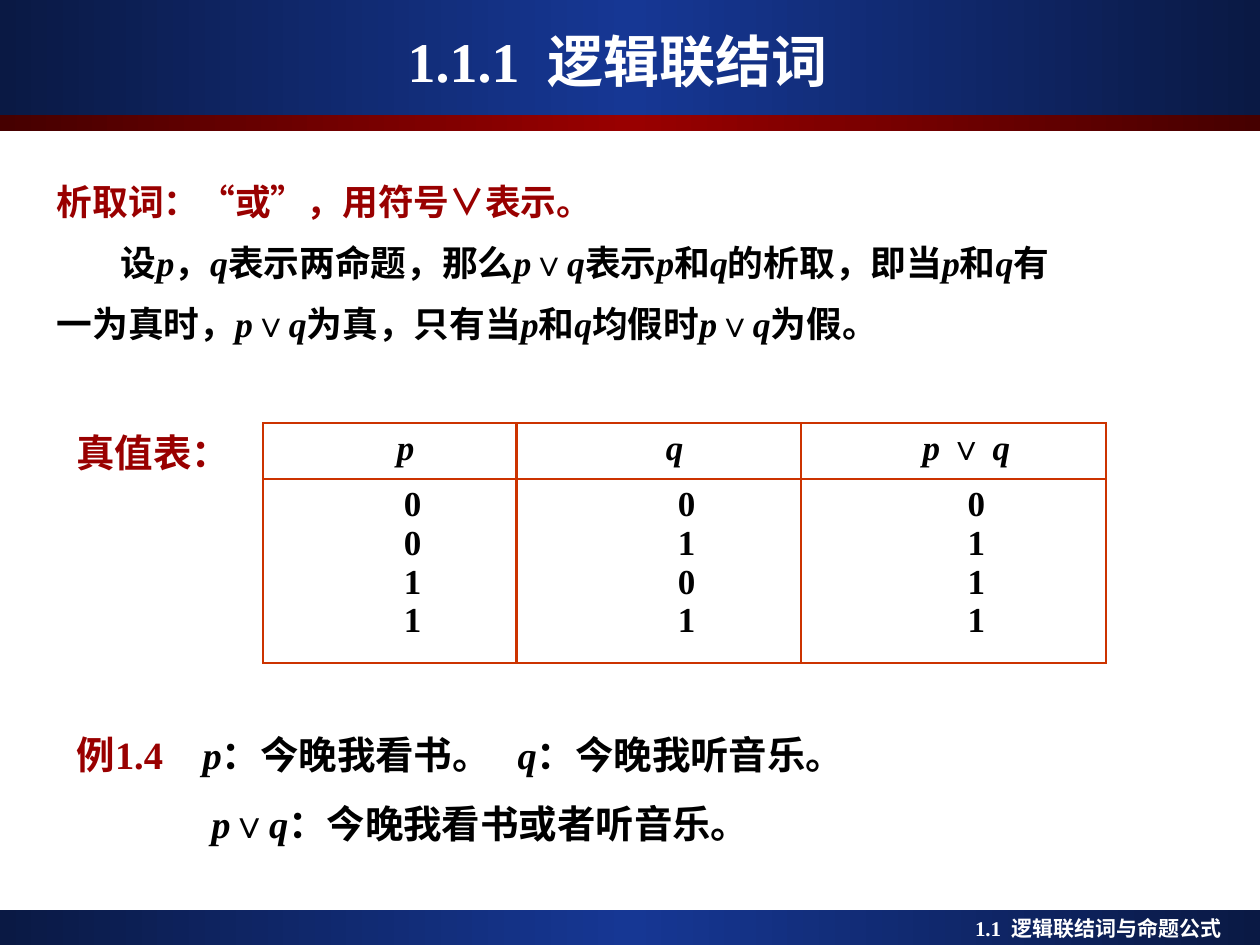
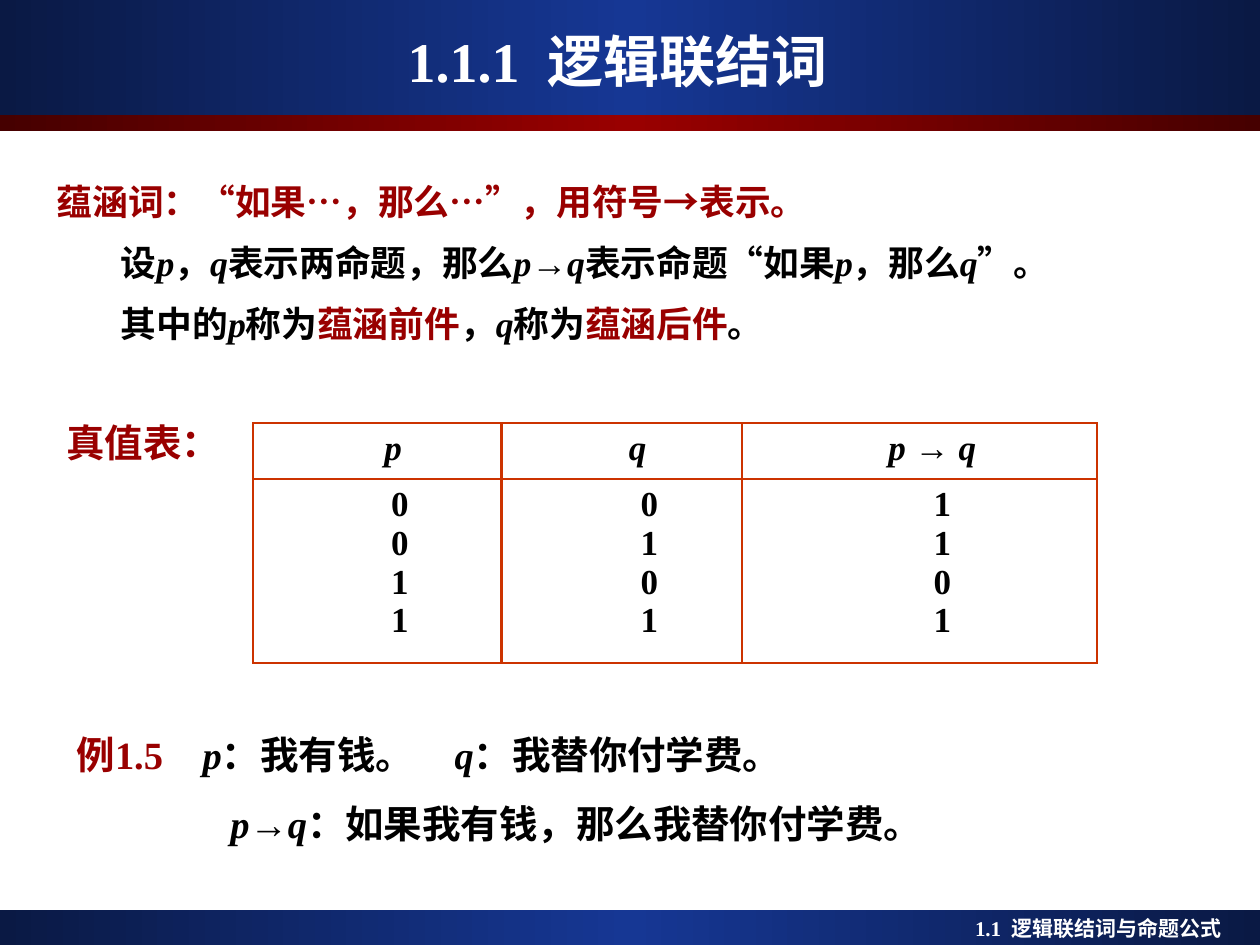
from copy import deepcopy
from dataclasses import dataclass
from itertools import product
from typing import Callable

from lxml import etree
from pptx import Presentation
from pptx.dml.color import RGBColor
from pptx.enum.shapes import MSO_SHAPE
from pptx.enum.text import MSO_ANCHOR, MSO_AUTO_SIZE, PP_ALIGN
from pptx.oxml.ns import qn
from pptx.util import Emu, Inches, Pt

RECTANGLE = MSO_SHAPE.RECTANGLE
MIDDLE = MSO_ANCHOR.MIDDLE
FIXED_SIZE = MSO_AUTO_SIZE.NONE
LEFT, CENTER = PP_ALIGN.LEFT, PP_ALIGN.CENTER

FONT = "Times New Roman"
COLORS = {
    "white": "FFFFFF", "black": "000000", "red": "990000", "dark red": "460000",
    "blue": "163794", "navy": "0A1944", "border": "CC3300",
}
SLIDE_WIDTH, SLIDE_HEIGHT = Inches(10), Inches(7.5)
COLUMN, ROW = SLIDE_WIDTH / 100, SLIDE_HEIGHT / 75
BORDER_WIDTH = Pt(1.47)
HEADER_INDENTS = (2.5, 2.5, 2)
VALUE_INDENTS = (3.6, 4.4, 3.6)
ROW_HEIGHTS = (4.4, 14.6)


@dataclass(frozen=True)
class Box:
    left: float
    top: float
    width: float
    height: float

    def place(self) -> tuple[Emu, Emu, Emu, Emu]:
        return columns(self.left), rows(self.top), columns(self.width), rows(self.height)


@dataclass(frozen=True)
class Band:
    box: Box
    edge: str
    middle: str


@dataclass(frozen=True)
class Style:
    size: float
    color: str = "black"
    align: PP_ALIGN = LEFT
    line: float = 1.0
    before: float = 0


@dataclass(frozen=True)
class Line:
    text: str
    indent: float = 0
    hanging: float = 0
    tabs: tuple[float, ...] = ()


@dataclass(frozen=True)
class Lesson:
    definition: tuple[Line, ...]
    formula: str
    connective: Callable[[int, int], int]
    table_left: float
    table_columns: tuple[float, ...]
    label: Box
    example: tuple[Line, ...]


BANDS = (
    Band(Box(0, 72.2, 100, 2.8), "navy", "blue"),
    Band(Box(0, 0, 100, 9.1), "navy", "blue"),
    Band(Box(0, 9.1, 100, 1.3), "dark red", "red"),
)
TITLE_BOX = Box(2.8, 1.7, 92.5, 6.2)
BODY_BOX = Box(3.5, 13.1, 93.7, 18.9)
FOOTER_BOX = Box(76.4, 72.2, 23.6, 3)
EXAMPLE_BOX = Box(5.1, 56.4, 87.4, 13.4)

TITLE_STYLE = Style(32, "white", CENTER)
BODY_STYLE = Style(20.4, line=1.2, before=5.5)
FOOTER_STYLE = Style(12, "white")
EXAMPLE_STYLE = Style(22, line=1.3, before=5.5)
LABEL_STYLE = Style(22, "red", line=1.2)
CELL_STYLE = Style(20, align=CENTER)

LESSONS = (
    Lesson(
        definition=(
            Line("|析取词：“或”，用符号∨表示。|"),
            Line("设*p*，*q*表示两命题，那么*p*∨*q*表示*p*和*q*的析取，即当*p*和*q*有", 5.1),
            Line("一为真时，*p*∨*q*为真，只有当*p*和*q*均假时*p*∨*q*为假。"),
        ),
        formula="*p* ∨ *q*",
        connective=lambda p, q: int(p or q),
        table_left=20.9,
        table_columns=(20.1, 22.6, 24.2),
        label=Box(5.1, 32.8, 12.6, 5.4),
        example=(
            Line("|例1.4|\t*p*：今晚我看书。\t*q*：今晚我听音乐。", tabs=(16.1, 47.3)),
            Line("*p*∨*q*：今晚我看书或者听音乐。", 10.7),
        ),
    ),
    Lesson(
        definition=(
            Line("|蕴涵词：“如果…，那么…”，用符号→表示。|"),
            Line("设*p*，*q*表示两命题，那么*p*→*q*表示命题“如果*p*，那么*q*”。", 5.1),
            Line("其中的*p*称为|蕴涵前件|，*q*称为|蕴涵后件|。", 5.1),
        ),
        formula="*p* → *q*",
        connective=lambda p, q: int(not p or q),
        table_left=20.1,
        table_columns=(19.7, 19.1, 28.2),
        label=Box(4.3, 32, 12.6, 5.4),
        example=(
            Line("|例1.5|\t*p*：我有钱。\t*q*：我替你付学费。", tabs=(17.6, 44.1)),
            Line("*p*→*q*：如果我有钱，那么我替你付学费。", 12.2),
        ),
    ),
)


def columns(count: float) -> Emu:
    return Emu(round(count * COLUMN))


def rows(count: float) -> Emu:
    return Emu(round(count * ROW))


def rgb(name: str) -> RGBColor:
    return RGBColor.from_string(COLORS[name])


def add_spans(para, text: str) -> None:
    for red, part in enumerate(text.split("|")):
        for italic, piece in enumerate(part.split("*")):
            if piece:
                span = para.add_run()
                span.text = piece
                if red % 2:
                    span.font.color.rgb = rgb("red")
                if italic % 2:
                    span.font.italic = True


def write(frame, lines: tuple[Line, ...], style: Style) -> None:
    for index, line in enumerate(lines):
        para = frame.add_paragraph() if index else frame.paragraphs[0]
        para.alignment = style.align
        para.line_spacing = style.line
        para.space_before = Pt(style.before if index else 0)
        properties = para._p.get_or_add_pPr()
        properties.set("marL", str(columns(line.indent)))
        properties.set("indent", str(-columns(line.hanging)))
        etree.SubElement(properties, qn("a:buNone"))
        if line.tabs:
            stops = etree.SubElement(properties, qn("a:tabLst"))
            for stop in line.tabs:
                etree.SubElement(stops, qn("a:tab"), pos=str(columns(stop)), algn="l")
        para.font.name = FONT
        para.font.size = Pt(style.size)
        para.font.bold = True
        para.font.color.rgb = rgb(style.color)
        add_spans(para, line.text)


def write_heading(frame, number: str, name: str, style: Style) -> None:
    write(frame, (Line(number),), style)
    para = frame.paragraphs[0]
    gap = para.add_run()
    gap.text = " "
    gap.font._element.set("spc", str(round(style.size * 25)))
    add_spans(para, name)


def fill_placeholder(shape, box: Box):
    shape.left, shape.top, shape.width, shape.height = box.place()
    shape.text_frame.auto_size = FIXED_SIZE
    return shape.text_frame


def add_text_box(slide, box: Box):
    frame = slide.shapes.add_textbox(*box.place()).text_frame
    frame.word_wrap = True
    return frame


def add_bands(slide, layout) -> None:
    tree = layout.element.cSld.spTree
    for position, band in enumerate(BANDS, start=2):
        shape = slide.shapes.add_shape(RECTANGLE, *band.box.place())
        shape.shadow.inherit = False
        shape.line.fill.background()
        shape.fill.gradient()
        shape.fill.gradient_angle = 0
        stops = shape.element.spPr.find(f".//{qn('a:gsLst')}")
        stops.insert(1, deepcopy(stops[0]))
        colors = (band.edge, band.middle, band.edge)
        for index, (stop, color) in enumerate(zip(shape.fill.gradient_stops, colors)):
            stop.position = index / 2
            stop.color.rgb = rgb(color)
        tree.insert(position, shape.element)


def add_borders(cell) -> None:
    properties = cell._tc.get_or_add_tcPr()
    for index, side in enumerate(("a:lnL", "a:lnR", "a:lnT", "a:lnB")):
        border = etree.Element(qn(side), w=str(BORDER_WIDTH))
        fill = etree.SubElement(border, qn("a:solidFill"))
        etree.SubElement(fill, qn("a:srgbClr"), val=COLORS["border"])
        properties.insert(index, border)


def add_truth_table(slide, lesson: Lesson) -> None:
    box = Box(lesson.table_left, 33.6, sum(lesson.table_columns), sum(ROW_HEIGHTS))
    table = slide.shapes.add_table(2, 3, *box.place()).table
    table.first_row = table.horz_banding = False
    for row, height in zip(table.rows, ROW_HEIGHTS):
        row.height = rows(height)
    cases = [(p, q, lesson.connective(p, q)) for p, q in product((0, 1), repeat=2)]
    headers = ("*p*", "*q*", lesson.formula)
    for index, values in enumerate(zip(*cases)):
        table.columns[index].width = columns(lesson.table_columns[index])
        header = (Line(headers[index], HEADER_INDENTS[index]),)
        digits = tuple(Line(str(value), VALUE_INDENTS[index]) for value in values)
        for row, lines in enumerate((header, digits)):
            cell = table.cell(row, index)
            cell.fill.background()
            add_borders(cell)
            write(cell.text_frame, lines, CELL_STYLE)


def add_lesson(deck, layout, lesson: Lesson):
    slide = deck.slides.add_slide(layout)
    title = fill_placeholder(slide.shapes.title, TITLE_BOX)
    title.vertical_anchor = MIDDLE
    write_heading(title, "1.1.1", "逻辑联结词", TITLE_STYLE)
    write(fill_placeholder(slide.placeholders[1], BODY_BOX), lesson.definition, BODY_STYLE)
    write_heading(add_text_box(slide, FOOTER_BOX), "1.1", "逻辑联结词与命题公式", FOOTER_STYLE)
    write(add_text_box(slide, EXAMPLE_BOX), lesson.example, EXAMPLE_STYLE)
    add_truth_table(slide, lesson)
    label = Line("真值表：", indent=3.8, hanging=3.8)
    write(add_text_box(slide, lesson.label), (label,), LABEL_STYLE)
    return slide


def main() -> None:
    deck = Presentation()
    deck.slide_width, deck.slide_height = SLIDE_WIDTH, SLIDE_HEIGHT
    layout = deck.slide_layouts[1]
    slides = [add_lesson(deck, layout, lesson) for lesson in LESSONS]
    add_bands(slides[0], layout)
    deck.save("out.pptx")


if __name__ == "__main__":
    main()
